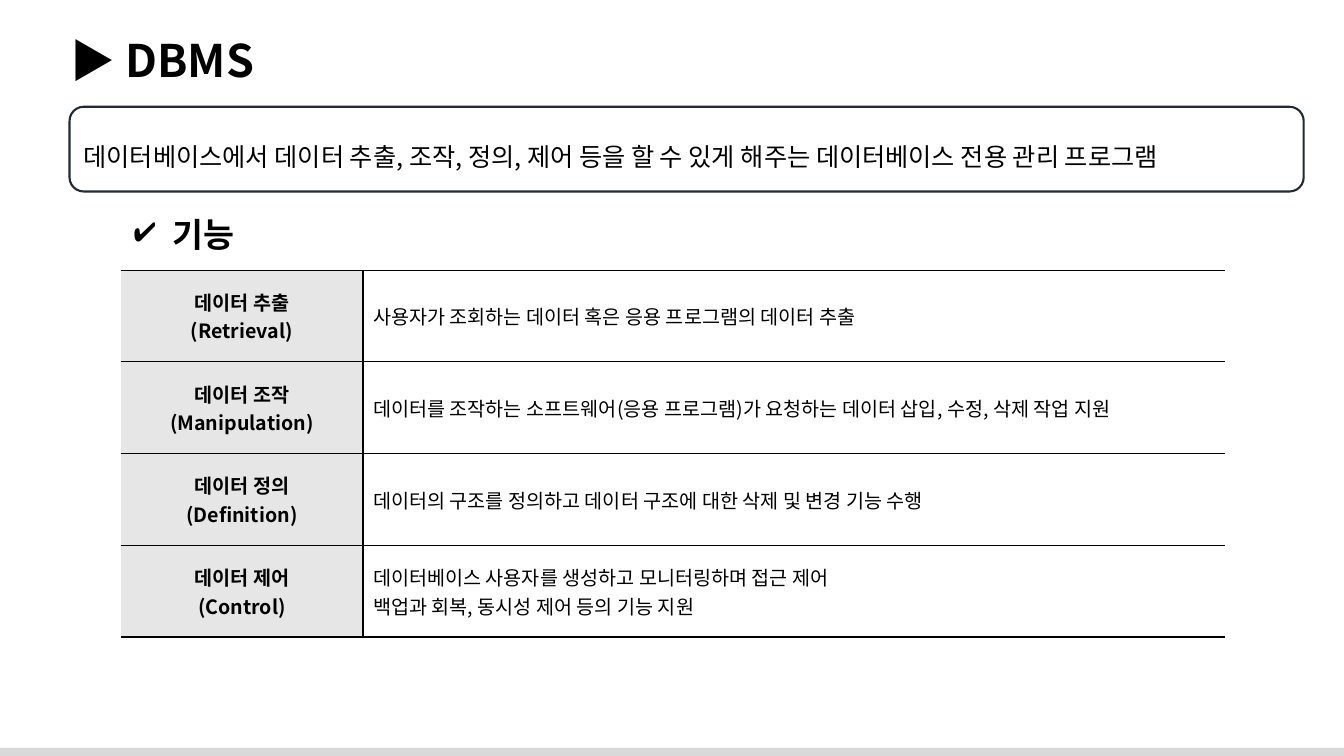
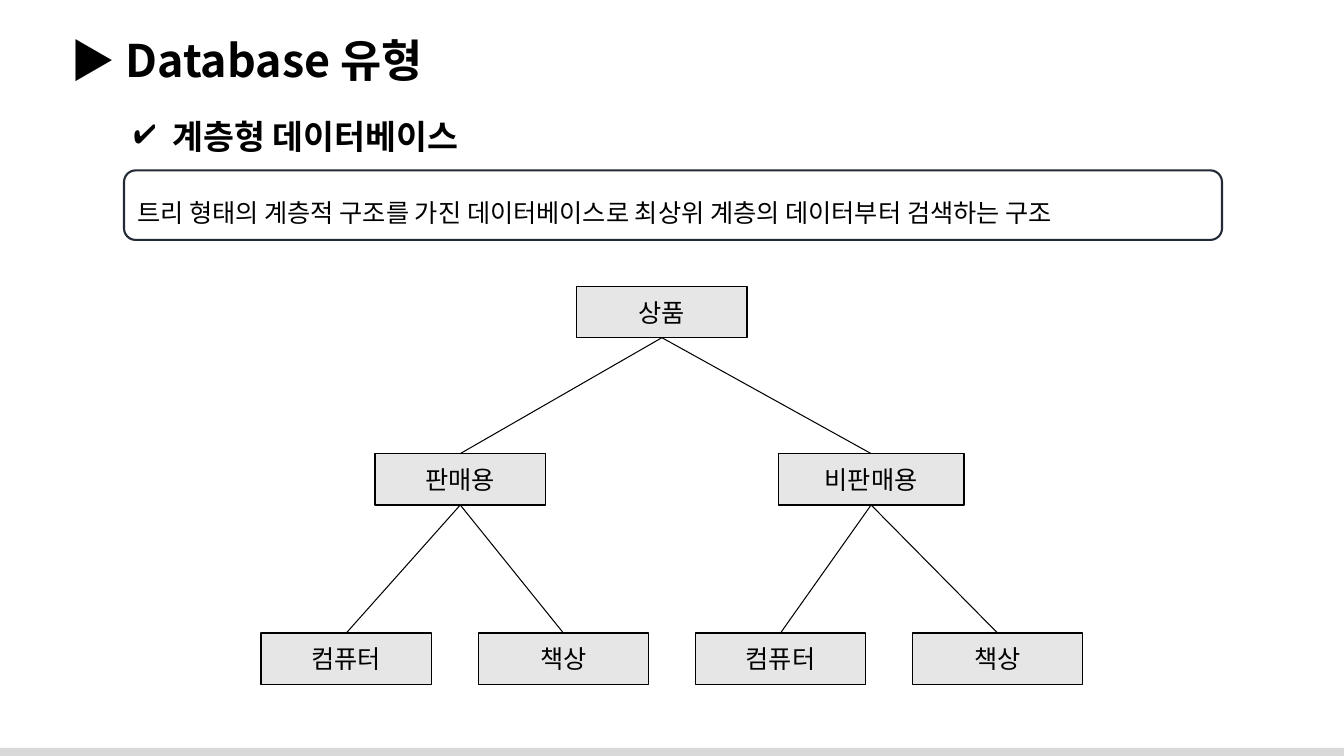
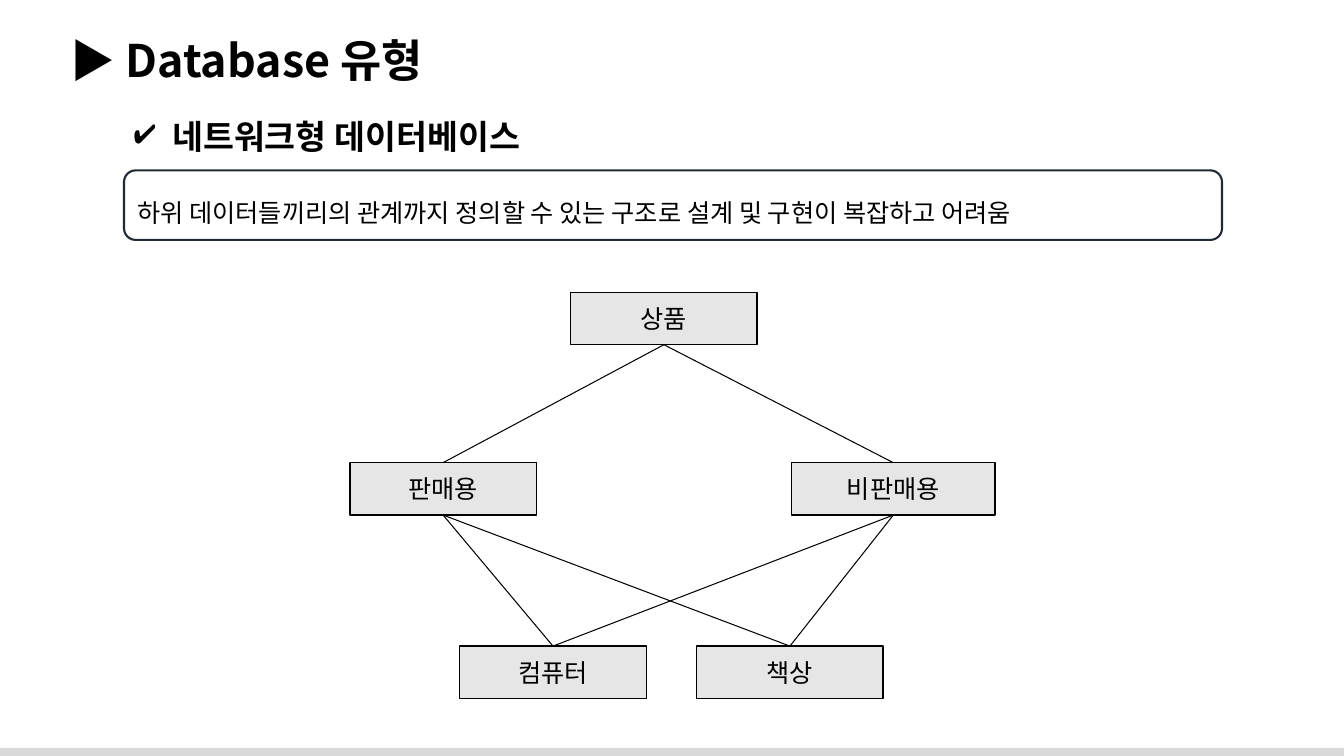
from lxml import etree
from pptx import Presentation
from pptx.dml.color import RGBColor
from pptx.enum import shapes, text
from pptx.oxml import ns
from pptx.util import Inches, Pt

FONT = "Noto Sans CJK KR"
COLORS = {
    "ink": "000000",
    "frame": "222A35",
    "box": "E7E6E6",
    "paper": "FFFFFF",
    "band": "D9D9D9",
}
FUNCTIONS = [
    ("데이터 추출\n(Retrieval)", "사용자가 조회하는 데이터 혹은 응용 프로그램의 데이터 추출"),
    ("데이터 조작\n(Manipulation)", "데이터를 조작하는 소프트웨어(응용 프로그램)가 요청하는 데이터 삽입, 수정, 삭제 작업 지원"),
    ("데이터 정의\n(Definition)", "데이터의 구조를 정의하고 데이터 구조에 대한 삭제 및 변경 기능 수행"),
    ("데이터 제어\n(Control)", "데이터베이스 사용자를 생성하고 모니터링하며 접근 제어\n백업과 회복, 동시성 제어 등의 기능 지원"),
]


def color(name):
    return RGBColor.from_string(COLORS[name])


def child(parent, tag, **attributes):
    return etree.SubElement(parent, ns.qn(tag), attributes)


def write(frame, words, size, bold=False, align=text.PP_ALIGN.LEFT, spacing=None):
    frame.text = words
    frame.word_wrap = True
    for paragraph in frame.paragraphs:
        paragraph.alignment = align
        paragraph.line_spacing = spacing
        for run in paragraph.runs:
            run.font.size = Pt(size)
            run.font.bold = bold
            run.font.name = FONT
            run.font.color.rgb = color("ink")
            child(run.font._element, "a:ea", typeface=FONT)


def add_box(slide, kind, left, top, width, height, fill=None, line=None, weight=1):
    box = slide.shapes.add_shape(kind, Inches(left), Inches(top), Inches(width), Inches(height))
    box.shadow.inherit = False
    if fill:
        box.fill.solid()
        box.fill.fore_color.rgb = color(fill)
    else:
        box.fill.background()
    if line:
        box.line.color.rgb = color(line)
        box.line.width = Pt(weight)
    else:
        box.line.fill.background()
    box.text_frame.vertical_anchor = text.MSO_ANCHOR.MIDDLE
    return box


def add_label(slide, words, left, top, width, height, size):
    label = slide.shapes.add_textbox(Inches(left), Inches(top), Inches(width), Inches(height))
    write(label.text_frame, words, size, bold=True)
    return label


def start_slide(deck, title):
    slide = deck.slides.add_slide(deck.slide_layouts[6])
    add_box(slide, shapes.MSO_SHAPE.RECTANGLE, -0.03, 7.42, 13.39, 0.11, fill="band")
    add_label(slide, "▶ " + title, 0.6, 0.28, 12.6, 0.64, 32)
    return slide


def add_topic(slide, words, top, width):
    topic = add_label(slide, words, 1.23, top, width, 0.5, 24)
    bullet = topic.text_frame.paragraphs[0]._p.get_or_add_pPr()
    bullet.set("marL", str(Inches(0.38)))
    bullet.set("indent", str(-Inches(0.38)))
    child(child(bullet, "a:buClr"), "a:srgbClr", val=COLORS["ink"])
    child(bullet, "a:buChar", char="✔")


def add_definition(slide, words, left, top, width, height):
    frame = add_box(slide, shapes.MSO_SHAPE.ROUNDED_RECTANGLE, left, top, width, height,
                    line="frame", weight=1.5)
    write(frame.text_frame, words, 18, spacing=1.5)


def set_borders(cell, drawn_sides):
    properties = cell._tc.get_or_add_tcPr()
    for side in "LRTB":
        border = child(properties, "a:ln" + side, w=str(Pt(1)))
        if side in drawn_sides:
            child(child(border, "a:solidFill"), "a:srgbClr", val=COLORS["ink"])
        else:
            child(border, "a:noFill")


def add_function_table(slide, rows):
    widths, row_height = (2.4, 8.55), 0.91
    table = slide.shapes.add_table(len(rows), len(widths), Inches(1.2), Inches(2.68),
                                   Inches(sum(widths)), Inches(row_height * len(rows))).table
    table.first_row = table.horz_banding = False
    for column, width in zip(table.columns, widths):
        column.width = Inches(width)
    styles = (
        ("RTB", "box", True, text.PP_ALIGN.CENTER),
        ("LTB", "paper", False, text.PP_ALIGN.LEFT),
    )
    for row, entries in zip(table.rows, rows):
        row.height = Inches(row_height)
        for cell, words, (sides, fill, bold, align) in zip(row.cells, entries, styles):
            set_borders(cell, sides)
            cell.fill.solid()
            cell.fill.fore_color.rgb = color(fill)
            cell.vertical_anchor = text.MSO_ANCHOR.MIDDLE
            write(cell.text_frame, words, 14, bold, align)


def link(slide, parent, descendant):
    branch = slide.shapes.add_connector(shapes.MSO_CONNECTOR.STRAIGHT, 0, 0, 0, 0)
    branch.begin_connect(parent, 2)
    branch.end_connect(descendant, 0)
    branch.line.color.rgb = color("ink")
    branch.line.width = Pt(0.75)
    child(branch._element.spPr, "a:effectLst")


def add_diagram(slide, levels, height, branches):
    nodes = []
    for top, level in levels:
        for words, left, width in level:
            node = add_box(slide, shapes.MSO_SHAPE.RECTANGLE, left, top, width, height,
                           fill="box", line="ink")
            write(node.text_frame, words, 18, align=text.PP_ALIGN.CENTER)
            nodes.append(node)
    for parent, descendant in branches:
        link(slide, nodes[parent], nodes[descendant])


def add_type_slide(deck, topic, topic_width, definition):
    slide = start_slide(deck, "Database 유형")
    add_topic(slide, topic, 1.1, topic_width)
    add_definition(slide, definition, 1.23, 1.69, 10.89, 0.69)
    return slide


def main():
    deck = Presentation()
    deck.slide_width, deck.slide_height = Inches(13.33), Inches(7.5)

    dbms = start_slide(deck, "DBMS")
    add_definition(dbms, "데이터베이스에서 데이터 추출, 조작, 정의, 제어 등을 할 수 있게 해주는 데이터베이스 전용 관리 프로그램",
                   0.69, 1.06, 12.24, 0.84)
    add_topic(dbms, "기능", 2.07, 1.25)
    add_function_table(dbms, FUNCTIONS)

    hierarchy = add_type_slide(deck, "계층형 데이터베이스", 3.73,
                               "트리 형태의 계층적 구조를 가진 데이터베이스로 최상위 계층의 데이터부터 검색하는 구조")
    goods = ("컴퓨터", "책상")
    add_diagram(hierarchy, [
        (2.84, [("상품", 5.72, 1.69)]),
        (4.5, [("판매용", 3.72, 1.69), ("비판매용", 7.72, 1.84)]),
        (6.28, [(words, 2.59 + 2.153 * i, 1.69) for i, words in enumerate(goods * 2)]),
    ], 0.51, [(0, 1), (0, 2), (1, 3), (1, 4), (2, 5), (2, 6)])

    network = add_type_slide(deck, "네트워크형 데이터베이스", 4.4,
                             "하위 데이터들끼리의 관계까지 정의할 수 있는 구조로 설계 및 구현이 복잡하고 어려움")
    add_diagram(network, [
        (2.9, [("상품", 5.66, 1.85)]),
        (4.59, [("판매용", 3.47, 1.85), ("비판매용", 7.85, 2.02)]),
        (6.41, [(words, 4.56 + 2.35 * i, 1.85) for i, words in enumerate(goods)]),
    ], 0.52, [(0, 1), (0, 2), (1, 3), (1, 4), (2, 4), (2, 3)])

    deck.save("out.pptx")


if __name__ == "__main__":
    main()
